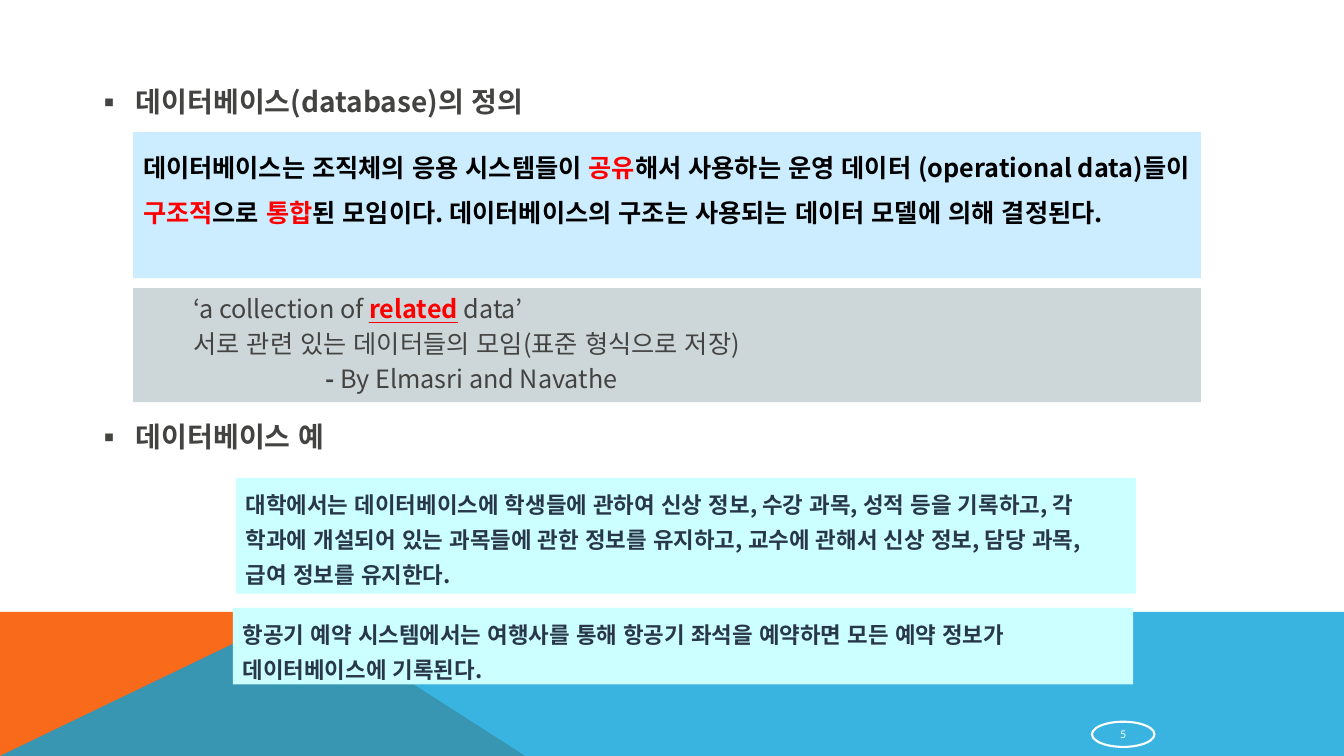
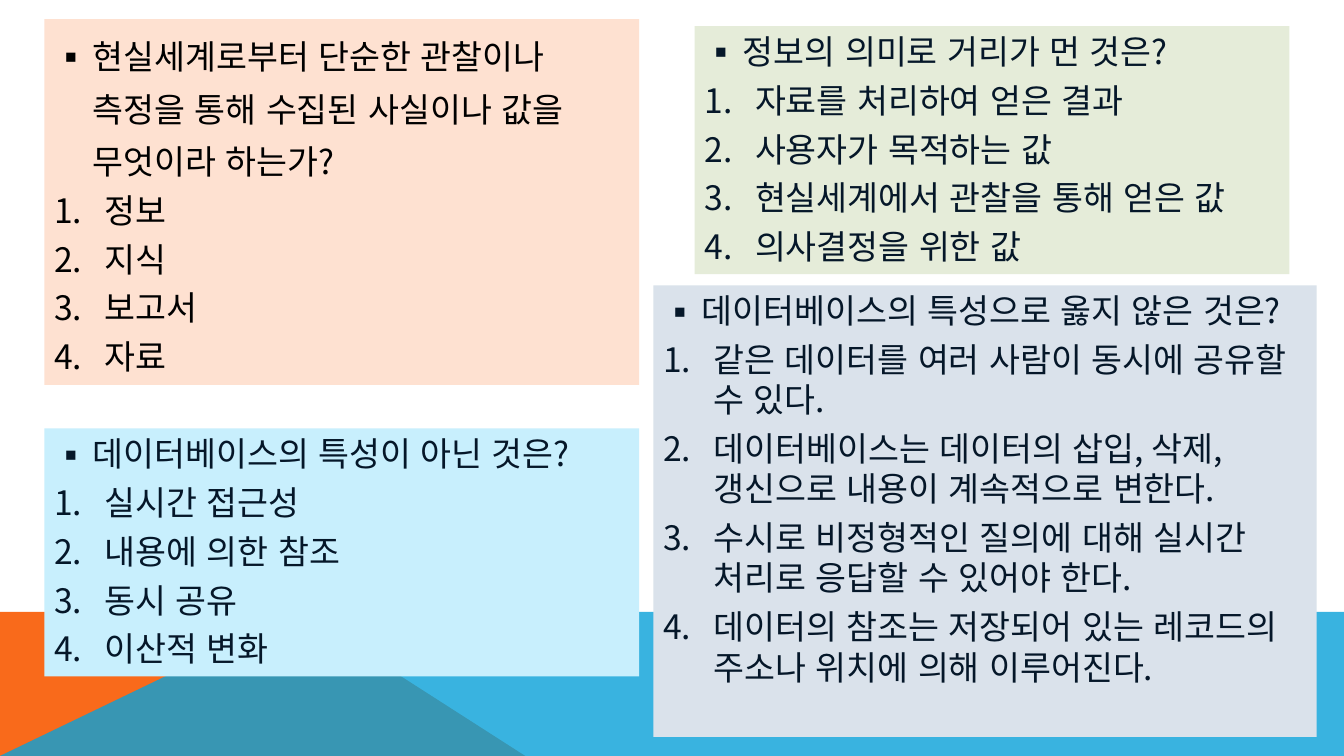
from lxml import etree
from pptx import Presentation
from pptx.dml.color import RGBColor
from pptx.enum.lang import MSO_LANGUAGE_ID
from pptx.enum.shapes import MSO_SHAPE
from pptx.enum.text import MSO_ANCHOR, PP_ALIGN
from pptx.oxml.ns import qn
from pptx.util import Pt

PX = 9144
WIDTH, HEIGHT = 1333, 750
BAND_TOP = 607
KOREAN = MSO_LANGUAGE_ID.KOREAN
RECTANGLE, ELLIPSE = MSO_SHAPE.RECTANGLE, MSO_SHAPE.OVAL
TOP, MIDDLE = MSO_ANCHOR.TOP, MSO_ANCHOR.MIDDLE
LEFT, CENTER = PP_ALIGN.LEFT, PP_ALIGN.CENTER
BODY_FONT, NUMBER_FONT = "Noto Sans CJK KR", "Lato"
COLORS = {
    "white": "FFFFFF", "black": "000000", "red": "FF0000",
    "orange": "F96A1B", "blue": "08A1D9",
    "grey_text": "434342", "slate_text": "28374A", "navy_text": "051729",
    "definition": "CCECFF", "quote": "CDD7D9", "example": "CCFFFF",
    "peach": "FEE1D1", "green": "E5ECD9", "sky": "C8EFFD", "mist": "DAE2EB",
}


class Deck:
    def __init__(self):
        self.deck = Presentation()
        self.deck.slide_width = WIDTH * PX
        self.deck.slide_height = HEIGHT * PX
        self.page = None

    def add_page(self):
        self.page = self.deck.slides.add_slide(self.deck.slide_layouts[6])
        self.band("orange", [(0, HEIGHT), (0, BAND_TOP), (298, BAND_TOP), (521, HEIGHT)])
        self.band("blue", [(0, HEIGHT), (297, BAND_TOP), (WIDTH, BAND_TOP), (WIDTH, HEIGHT)], 80)

    def color(self, name):
        return RGBColor.from_string(COLORS[name])

    def paint(self, shape, name):
        shape.shadow.inherit = False
        shape.fill.solid()
        shape.fill.fore_color.rgb = self.color(name)
        shape.line.fill.background()

    def band(self, name, points, opacity=100):
        builder = self.page.shapes.build_freeform(*points[0], scale=PX)
        builder.add_line_segments(points[1:], close=True)
        shape = builder.convert_to_shape()
        self.paint(shape, name)
        if opacity < 100:
            tone = shape.element.spPr.find(".//" + qn("a:srgbClr"))
            etree.SubElement(tone, qn("a:alpha"), val=str(opacity * 1000))

    def panel(self, name, left, top, width, height):
        box = self.page.shapes.add_shape(
            RECTANGLE, left * PX, top * PX, width * PX, height * PX)
        self.paint(box, name)
        frame = box.text_frame
        frame.word_wrap = True
        frame.vertical_anchor = TOP
        return frame

    def paragraph(self, frame, spans, size, color, bold=False, spacing=1.0, before=0,
                  indent=0, hanging=0, bullet=None, align=LEFT, font=BODY_FONT):
        para = frame.paragraphs[0]
        if para.runs:
            para = frame.add_paragraph()
        para.alignment = align
        para.line_spacing = spacing
        para.space_before = Pt(before)
        properties = para._p.get_or_add_pPr()
        properties.set("marL", str(indent * PX))
        properties.set("indent", str(-hanging * PX))
        if bullet == "number":
            etree.SubElement(properties, qn("a:buAutoNum"), type="arabicPeriod")
        elif bullet:
            etree.SubElement(properties, qn("a:buFont"), typeface=font)
            etree.SubElement(properties, qn("a:buChar"), char=bullet)
        para.font.size = Pt(size)
        para.font.bold = bold
        para.font.color.rgb = self.color(color)
        para.font.name = font
        para.font.language_id = KOREAN
        etree.SubElement(properties.find(qn("a:defRPr")), qn("a:ea"), typeface=font)
        for text, *marks in spans:
            span = para.add_run()
            span.text = text
            if "red" in marks:
                span.font.color.rgb = self.color("red")
            if "bold" in marks:
                span.font.bold = True
            if "underline" in marks:
                span.font.underline = True

    def heading(self, text, top):
        box = self.page.shapes.add_textbox(85 * PX, top * PX, 883 * PX, 50 * PX)
        box.text_frame.word_wrap = True
        self.paragraph(box.text_frame, [(text,)], 20, "grey_text", bold=True,
                       spacing=1.4, indent=40, hanging=40, bullet="▪")

    def example(self, text, left, top, height):
        frame = self.panel("example", left, top, 893, height)
        self.paragraph(frame, [(text,)], 16, "slate_text", bold=True, spacing=1.3)

    def quiz(self, fill, place, question, answers, color="navy_text", spacing=1.0):
        frame = self.panel(fill, *place)
        self.paragraph(frame, [(question,)], 24, color, spacing=spacing,
                       indent=38, hanging=38, bullet="▪")
        for answer in answers:
            self.paragraph(frame, [(answer,)], 24, color, before=6,
                           indent=50, hanging=50, bullet="number")

    def page_number(self, number):
        badge = self.page.shapes.add_shape(ELLIPSE, 1083 * PX, 716 * PX, 62 * PX, 25 * PX)
        badge.shadow.inherit = False
        badge.fill.background()
        badge.line.color.rgb = self.color("white")
        badge.line.width = Pt(1.5)
        frame = badge.text_frame
        frame.vertical_anchor = MIDDLE
        frame.margin_left = frame.margin_right = PX
        frame.margin_top = frame.margin_bottom = PX
        self.paragraph(frame, [(number,)], 7.6, "white", align=CENTER, font=NUMBER_FONT)


def definition_page(deck):
    deck.add_page()
    deck.page_number("5")
    deck.example("대학에서는 데이터베이스에 학생들에 관하여 신상 정보, 수강 과목, 성적 등을 기록하고, "
                 "각 학과에 개설되어 있는 과목들에 관한 정보를 유지하고, 교수에 관해서 신상 정보, "
                 "담당 과목, 급여 정보를 유지한다.", 234, 474, 115)
    deck.example("항공기 예약 시스템에서는 여행사를 통해 항공기 좌석을 예약하면 모든 예약 정보가 "
                 "데이터베이스에 기록된다.", 231, 603, 76)
    deck.heading("데이터베이스(database)의 정의", 66)
    deck.heading("데이터베이스 예", 398)
    definition = deck.panel("definition", 132, 131, 1059, 145)
    deck.paragraph(definition, [
        ("데이터베이스는 조직체의 응용 시스템들이 ",), ("공유", "red"),
        ("해서 사용하는 운영 데이터 (operational data)들이 ",), ("구조적", "red"),
        ("으로 ",), ("통합", "red"),
        ("된 모임이다. 데이터베이스의 구조는 사용되는 데이터 모델에 의해 결정된다.",),
    ], 18, "black", bold=True, spacing=1.5)
    quote = deck.panel("quote", 132, 286, 1059, 113)
    for indent, spans in [
        (50, [("‘a collection of ",), ("related", "red", "bold", "underline"), (" data’",)]),
        (50, [("서로 관련 있는 데이터들의 모임(표준 형식으로 저장)",)]),
        (181, [("- ", "bold"), ("By Elmasri and Navathe",)]),
    ]:
        deck.paragraph(quote, spans, 18, "grey_text", before=3.6, indent=indent)


def quiz_page(deck):
    deck.add_page()
    deck.quiz("peach", (44, 19, 590, 363),
              "현실세계로부터 단순한 관찰이나 측정을 통해 수집된 사실이나 값을 무엇이라 하는가?",
              ["정보", "지식", "보고서", "자료"], color="black", spacing=1.3)
    deck.quiz("green", (689, 26, 590, 246), "정보의 의미로 거리가 먼 것은?",
              ["자료를 처리하여 얻은 결과", "사용자가 목적하는 값",
               "현실세계에서 관찰을 통해 얻은 값", "의사결정을 위한 값"])
    deck.quiz("sky", (44, 425, 590, 246), "데이터베이스의 특성이 아닌 것은?",
              ["실시간 접근성", "내용에 의한 참조", "동시 공유", "이산적 변화"])
    deck.quiz("mist", (648, 283, 658, 448), "데이터베이스의 특성으로 옳지 않은 것은?",
              ["같은 데이터를 여러 사람이 동시에 공유할 수 있다.",
               "데이터베이스는 데이터의 삽입, 삭제, 갱신으로 내용이 계속적으로 변한다.",
               "수시로 비정형적인 질의에 대해 실시간 처리로 응답할 수 있어야 한다.",
               "데이터의 참조는 저장되어 있는 레코드의 주소나 위치에 의해 이루어진다."])


def main():
    deck = Deck()
    definition_page(deck)
    quiz_page(deck)
    deck.deck.save("out.pptx")


if __name__ == "__main__":
    main()
